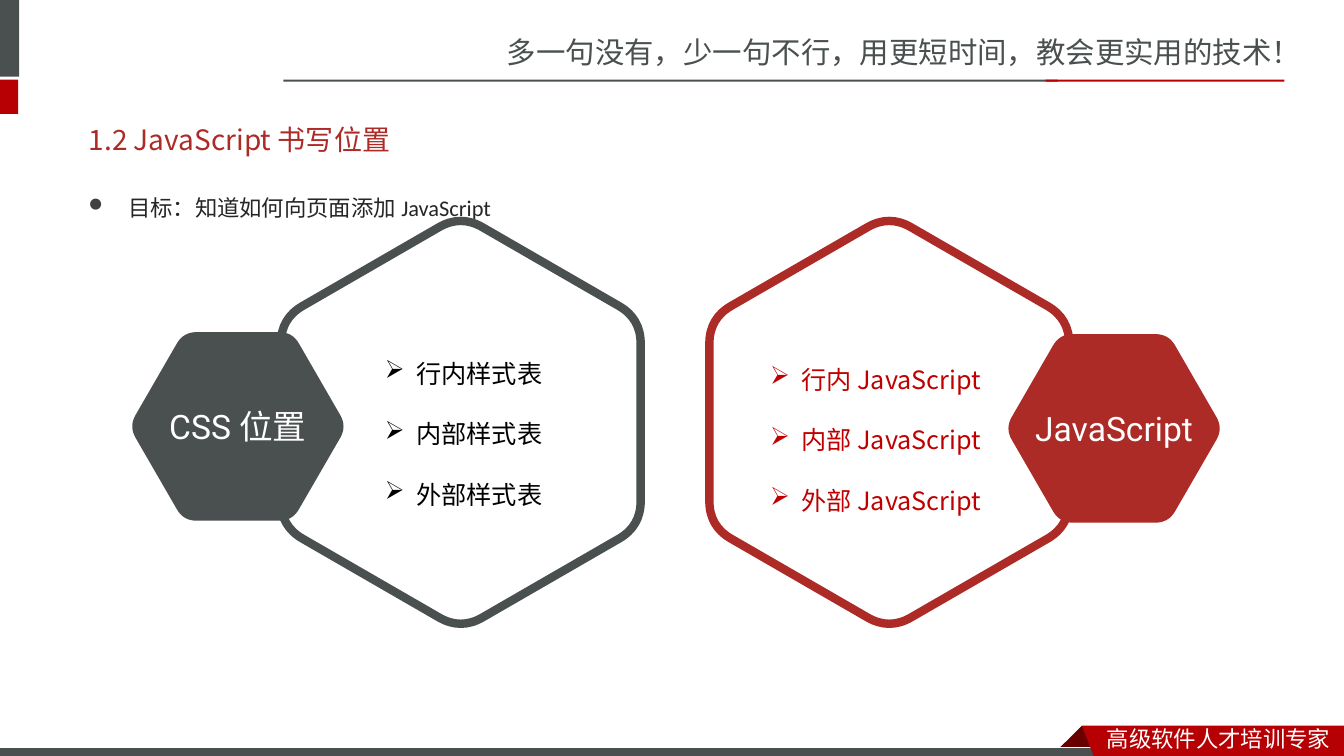
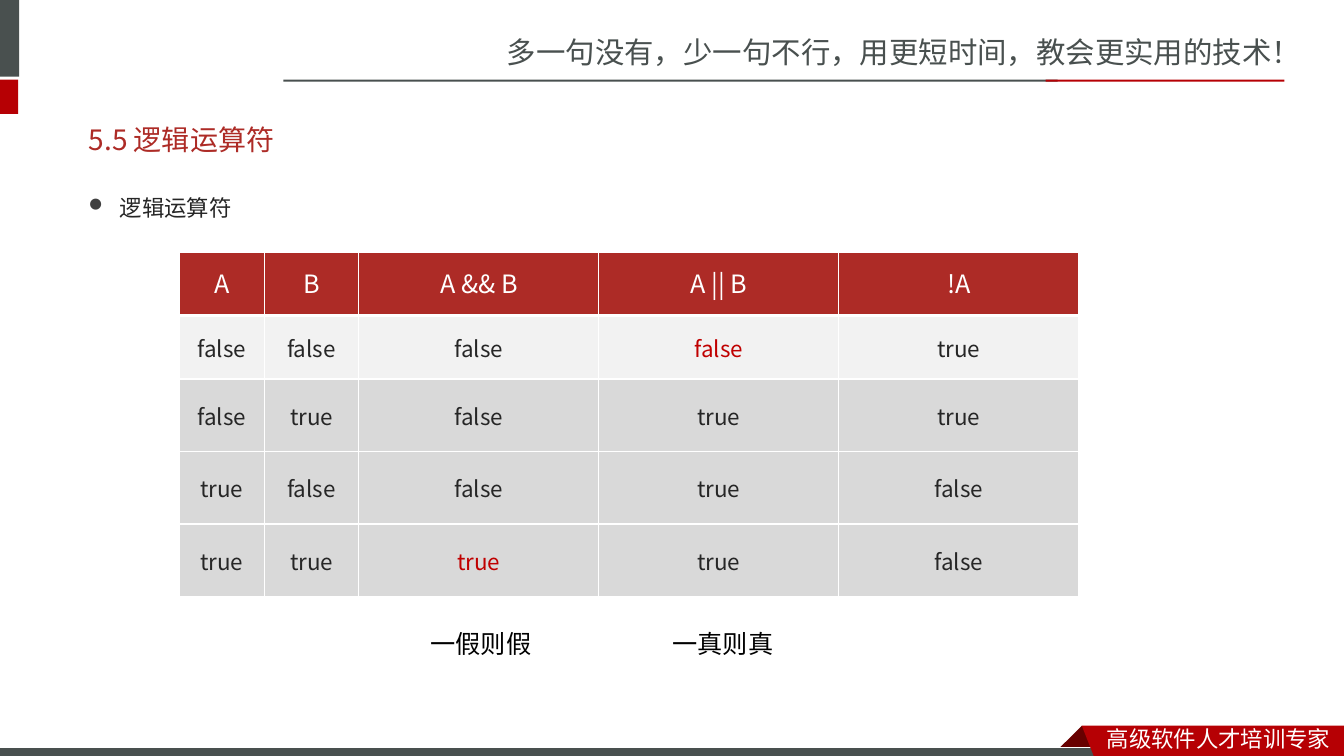
import math

import pptx
import pptx.dml.color
import pptx.enum.shapes
import pptx.enum.text
import pptx.oxml.ns
import pptx.util
from lxml import etree

Inches = pptx.util.Inches
Pt = pptx.util.Pt
RGBColor = pptx.dml.color.RGBColor
qualified = pptx.oxml.ns.qn
ALIGN = pptx.enum.text.PP_ALIGN
MIDDLE = pptx.enum.text.MSO_ANCHOR.MIDDLE
RECTANGLE = pptx.enum.shapes.MSO_SHAPE.RECTANGLE

GRAPHITE = RGBColor(0x49, 0x50, 0x4F)
BRIGHT_RED = RGBColor(0xB6, 0x00, 0x04)
FOLD_RED = RGBColor(0x68, 0x00, 0x00)
BRICK = RGBColor(0xAD, 0x2B, 0x26)
ACCENT = RGBColor(0xC0, 0x00, 0x00)
INK = RGBColor(0x26, 0x26, 0x26)
BULLET_GRAY = RGBColor(0x40, 0x40, 0x40)
BLACK = RGBColor(0x00, 0x00, 0x00)
WHITE = RGBColor(0xFF, 0xFF, 0xFF)
PALE = RGBColor(0xF2, 0xF2, 0xF2)
SILVER = RGBColor(0xD9, 0xD9, 0xD9)

SANS_SC = "Noto Sans CJK SC"
SANS_JP = "Noto Sans CJK JP"
SLOGAN = "多一句没有，少一句不行，用更短时间，教会更实用的技术！"
TAGLINE = "高级软件人才培训专家"
# Wingdings codes of the round dot and the arrowhead.
DOT, ARROWHEAD = "l", "Ø"


def place(shape, box):
    shape.left, shape.top, shape.width, shape.height = map(Inches, box)


def format_runs(para, size, face, color):
    """Use one face for both Latin and East Asian characters."""
    for span in para.runs:
        span.font.size = Pt(size)
        span.font.name = face
        span.font.bold = False
        span.font.color.rgb = color
        etree.SubElement(span.font._element, qualified("a:ea"), typeface=face)


def add_bullet(para, symbol, margin, hang, color=None, percent=100):
    properties = para._p.get_or_add_pPr()
    properties.set("marL", str(Inches(margin)))
    properties.set("indent", str(-Inches(hang)))
    if color is not None:
        tint = etree.SubElement(properties, qualified("a:buClr"))
        etree.SubElement(tint, qualified("a:srgbClr"), val=str(color))
    etree.SubElement(properties, qualified("a:buSzPct"), val=str(percent * 1000))
    etree.SubElement(properties, qualified("a:buFont"), typeface="Wingdings", charset="2")
    etree.SubElement(properties, qualified("a:buChar"), char=symbol)


def paint(shape, fill, line=None, line_width=0):
    shape.shadow.inherit = False
    shape.fill.solid()
    shape.fill.fore_color.rgb = fill
    if line is None:
        shape.line.fill.background()
    else:
        shape.line.color.rgb = line
        shape.line.width = Pt(line_width)


def add_bar(page, box, fill, line=None, line_width=0):
    bar = page.shapes.add_shape(RECTANGLE, *map(Inches, box))
    paint(bar, fill, line, line_width)


def add_polygon(page, points, fill, line=None, line_width=0):
    corners = [(Inches(x), Inches(y)) for x, y in points]
    builder = page.shapes.build_freeform(*corners[0])
    builder.add_line_segments(corners[1:], close=True)
    shape = builder.convert_to_shape()
    paint(shape, fill, line, line_width)
    return shape


def add_label(page, box, text, size, face, color, align=ALIGN.LEFT, wrap=True):
    label = page.shapes.add_textbox(*map(Inches, box))
    frame = label.text_frame
    frame.word_wrap = wrap
    frame.vertical_anchor = MIDDLE
    frame.text = text
    for para in frame.paragraphs:
        para.alignment = align
        format_runs(para, size, face, color)
    return label


def bend_corners(shape):
    """Turn each start, peak, end triple of the outline into one curve."""
    outline = next(shape._element.iter(qualified("a:path")))
    points = list(outline.iter(qualified("a:pt")))
    for start, peak, end in zip(points[0:18:3], points[1:18:3], points[2:18:3]):
        for axis in ("x", "y"):
            first, middle, last = (int(point.get(axis)) for point in (start, peak, end))
            peak.set(axis, str(2 * middle - (first + last) // 2))
        peak_segment, end_segment = peak.getparent(), end.getparent()
        curve = etree.Element(qualified("a:quadBezTo"))
        outline.replace(peak_segment, curve)
        outline.remove(end_segment)
        curve.extend([peak, end])


def add_rounded_hexagon(page, center, radius, start_angle, fill, line=None, line_width=0):
    vertices = []
    for step in range(6):
        angle = math.radians(start_angle + 60 * step)
        vertices.append((center[0] + radius * math.cos(angle),
                         center[1] + radius * math.sin(angle)))
    cut = 0.12
    points = []
    for index, vertex in enumerate(vertices):
        neighbors = vertices[index - 1], vertices[(index + 1) % 6]
        start, end = [tuple(v + cut * (n - v) for v, n in zip(vertex, neighbor))
                      for neighbor in neighbors]
        peak = tuple((s + 2 * v + e) / 4 for s, v, e in zip(start, vertex, end))
        points += [start, peak, end]
    hexagon = add_polygon(page, points, fill, line, line_width)
    bend_corners(hexagon)
    return hexagon


def add_frame(page):
    """Header slogan, side marks and footer ribbon shared by all pages."""
    add_label(page, (4.93, 0.28, 8.4, 0.47), SLOGAN, 21, SANS_SC, GRAPHITE)
    add_bar(page, (-0.06, 0, 0.25, 0.76), GRAPHITE)
    add_bar(page, (-0.06, 0.79, 0.24, 0.34), BRIGHT_RED)
    add_bar(page, (2.81, 0.79, 7.68, 0.02), GRAPHITE)
    add_bar(page, (10.37, 0.79, 2.37, 0.02), BRIGHT_RED)
    add_polygon(page, [(10.73, 7.2), (10.95, 7.42), (10.94, 7.43),
                       (10.52, 7.43), (10.51, 7.42)], FOLD_RED)
    add_bar(page, (-0.01, 7.42, 11, 0.12), GRAPHITE, WHITE, 0.75)
    add_polygon(page, [(10.73, 7.2), (13.33, 7.2), (13.33, 7.54), (10.86, 7.53)], BRIGHT_RED)
    add_label(page, (10.88, 7.14, 2.45, 0.37), TAGLINE, 16, SANS_SC, WHITE)


def add_page(deck, title, topic, hang):
    page = deck.slides.add_slide(deck.slide_layouts[1])
    add_frame(page)

    heading = page.shapes.title
    place(heading, (0.78, 1.1, 11.72, 0.57))
    heading.text_frame.text = title
    heading.text_frame.vertical_anchor = MIDDLE
    para = heading.text_frame.paragraphs[0]
    para.alignment = ALIGN.LEFT
    format_runs(para, 20, SANS_JP, BRICK)

    body = page.placeholders[1]
    place(body, (0.78, 1.74, 11.72, 4.98))
    body.text_frame.text = topic
    para = body.text_frame.paragraphs[0]
    para.line_spacing = 1.5
    para.space_before = Pt(0)
    add_bullet(para, DOT, hang, hang, BULLET_GRAY, 85)
    format_runs(para, 16, "Calibri", INK)
    return page


def add_hexagon_panel(page, center, color, badge_offset, badge_text,
                      list_box, items, item_color):
    """Ring around a list, with a badge at its side.

    Badge and list box are given relative to the centre of the ring.
    """
    x, y = center
    add_rounded_hexagon(page, center, 2.06, 30, WHITE, color, 6)

    badge_center = (x + badge_offset[0], y + badge_offset[1])
    badge = add_rounded_hexagon(page, badge_center, 1.08, 0, color)
    badge.text_frame.text = badge_text
    badge.text_frame.vertical_anchor = MIDDLE
    para = badge.text_frame.paragraphs[0]
    para.alignment = ALIGN.CENTER
    format_runs(para, 24, "Roboto", WHITE)

    left, top, width, height = list_box
    listing = add_label(page, (x + left, y + top, width, height), "\n".join(items),
                        18, SANS_JP, item_color)
    for para in listing.text_frame.paragraphs:
        para.line_spacing = Pt(43.2)
        add_bullet(para, ARROWHEAD, 0.81, 0.31)


def add_border(cell, side, width):
    border = etree.Element(qualified("a:ln" + side), w=str(Pt(width)))
    fill = etree.SubElement(border, qualified("a:solidFill"))
    etree.SubElement(fill, qualified("a:srgbClr"), val=str(WHITE))
    return border


def add_truth_table(page, left, top, widths, heights, rows, highlights):
    grid = page.shapes.add_table(len(rows), len(widths), Inches(left), Inches(top),
                                 Inches(sum(widths)), Inches(sum(heights))).table
    grid.horz_banding = False
    for column, width in zip(grid.columns, widths):
        column.width = Inches(width)
    for row, height in zip(grid.rows, heights):
        row.height = Inches(height)
    row_fills = [BRICK, PALE, SILVER, SILVER, SILVER]
    for row_index, values in enumerate(rows):
        border_widths = {"L": 1, "R": 1, "T": 3 if row_index == 1 else 1,
                         "B": 3 if row_index == 0 else 1}
        for column_index, value in enumerate(values):
            cell = grid.cell(row_index, column_index)
            cell.fill.solid()
            cell.fill.fore_color.rgb = row_fills[row_index]
            cell.vertical_anchor = MIDDLE
            for order, (side, width) in enumerate(border_widths.items()):
                cell._tc.tcPr.insert(order, add_border(cell, side, width))
            cell.text_frame.text = value
            para = cell.text_frame.paragraphs[0]
            para.alignment = ALIGN.CENTER
            if row_index == 0:
                para.line_spacing = Pt(24)
                format_runs(para, 18, SANS_JP, WHITE)
            else:
                marked = (row_index, column_index) in highlights
                format_runs(para, 16, SANS_JP, ACCENT if marked else INK)


def build_position_page(deck):
    page = add_page(deck, "1.2 JavaScript 书写位置", "目标：知道如何向页面添加 JavaScript", 0.39)
    add_hexagon_panel(page, (4.57, 4.19), GRAPHITE, (-2.21, 0.04), "CSS 位置",
                      (-1.35, -1, 2.36, 1.92),
                      ["行内样式表", "内部样式表", "外部样式表"], BLACK)
    add_hexagon_panel(page, (8.82, 4.19), BRICK, (2.23, 0.06), "JavaScript",
                      (-1.78, -0.94, 3.55, 1.92),
                      ["行内 JavaScript", "内部 JavaScript", "外部 JavaScript"], ACCENT)


def build_operator_page(deck):
    page = add_page(deck, "5.5 逻辑运算符", "逻辑运算符", 0.31)
    rows = [
        ("A", "B", "A && B", "A || B", "!A"),
        ("false", "false", "false", "false", "true"),
        ("false", "true", "false", "true", "true"),
        ("true", "false", "false", "true", "false"),
        ("true", "true", "true", "true", "false"),
    ]
    add_truth_table(page, 1.78, 2.5, [0.84, 0.94, 2.38, 2.38, 2.38],
                    [0.63, 0.63, 0.72, 0.72, 0.72], rows, {(1, 3), (4, 2)})
    for left, rule in ((4.17, "一假则假"), (6.57, "一真则真")):
        add_label(page, (left, 6.18, 1.2, 0.4), rule, 18, SANS_JP, BLACK,
                  ALIGN.CENTER, wrap=False)


def main():
    deck = pptx.Presentation()
    deck.slide_width, deck.slide_height = Inches(13.33), Inches(7.5)
    build_position_page(deck)
    build_operator_page(deck)
    deck.save("out.pptx")


if __name__ == "__main__":
    main()
